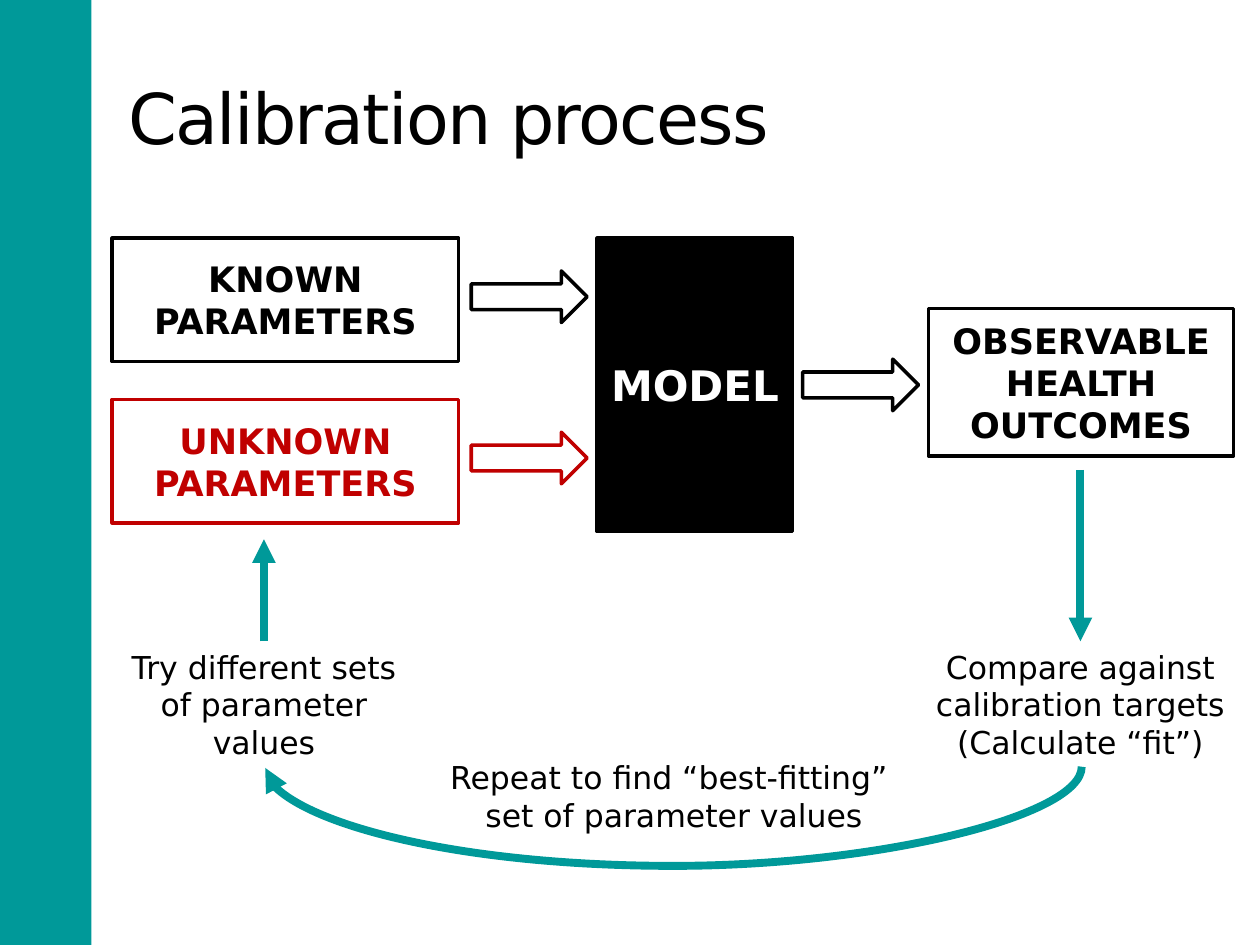
from dataclasses import dataclass

from lxml import etree
from pptx import Presentation, util as u
from pptx.dml.color import RGBColor
from pptx.enum import shapes, text
from pptx.oxml import ns


@dataclass(frozen=True)
class Theme:
    font: str = "DejaVu Sans"
    ink: str = "000000"
    paper: str = "FFFFFF"
    accent: str = "009999"
    alert: str = "C00000"
    title_size: int = 40
    model_size: int = 24
    box_size: int = 20
    note_size: int = 18
    outline: float = 2
    flow: float = 4.5


class SlideBuilder:
    COLUMNS, ROWS = 100, 75

    def __init__(self, deck, theme):
        self.theme = theme
        self.cell_width = deck.slide_width / self.COLUMNS
        self.cell_height = deck.slide_height / self.ROWS
        self.page = deck.slides.add_slide(deck.slide_layouts[5])

    def place(self, column, row, columns, rows):
        return (round(column * self.cell_width), round(row * self.cell_height),
                round(columns * self.cell_width), round(rows * self.cell_height))

    def add_lines(self, frame, lines, size, color, bold=False,
                  align=text.PP_ALIGN.CENTER, anchor=text.MSO_ANCHOR.MIDDLE):
        frame.word_wrap = True
        frame.vertical_anchor = anchor
        for index, line in enumerate(lines):
            para = frame.add_paragraph() if index else frame.paragraphs[0]
            para.alignment = align
            span = para.add_run()
            span.text = line
            span.font.name = self.theme.font
            span.font.size = u.Pt(size)
            span.font.bold = bold
            span.font.color.rgb = RGBColor.from_string(color)

    def title(self, area, words):
        box = self.page.shapes.title
        box.left, box.top, box.width, box.height = self.place(*area)
        self.add_lines(box.text_frame, [words], self.theme.title_size,
                       self.theme.ink, align=text.PP_ALIGN.LEFT)
        span = box.text_frame.paragraphs[0].runs[0]
        span.font._element.set("spc", "-100")

    def shape(self, kind, area, fill, line):
        box = self.page.shapes.add_shape(kind, *self.place(*area))
        box.shadow.inherit = False
        box.fill.solid()
        box.fill.fore_color.rgb = RGBColor.from_string(fill)
        box.line.color.rgb = RGBColor.from_string(line)
        box.line.width = u.Pt(self.theme.outline)
        return box

    def band(self, area):
        box = self.shape(shapes.MSO_SHAPE.RECTANGLE, area,
                         self.theme.accent, self.theme.accent)
        box.line.fill.background()

    def box(self, area, words, size, color, fill, line):
        box = self.shape(shapes.MSO_SHAPE.RECTANGLE, area, fill, line)
        self.add_lines(box.text_frame, [words], size, color, bold=True)

    def block_arrow(self, column, row, color):
        self.shape(shapes.MSO_SHAPE.RIGHT_ARROW, (column, row, 9.2, 4.1),
                   self.theme.paper, color)

    def note(self, area, lines):
        box = self.page.shapes.add_textbox(*self.place(*area))
        self.add_lines(box.text_frame, lines, self.theme.note_size,
                       self.theme.ink, anchor=text.MSO_ANCHOR.TOP)
        box.text_frame.auto_size = text.MSO_AUTO_SIZE.SHAPE_TO_FIT_TEXT
        return box

    def flow(self, kind, column, start, end_column, end):
        begin = self.place(column, start, 0, 0)[:2]
        finish = self.place(end_column, end, 0, 0)[:2]
        link = self.page.shapes.add_connector(kind, *begin, *finish)
        link.line.color.rgb = RGBColor.from_string(self.theme.accent)
        link.line.width = u.Pt(self.theme.flow)
        properties = link._element.spPr
        outline = properties.find(ns.qn("a:ln"))
        etree.SubElement(outline, ns.qn("a:tailEnd"), type="triangle")
        etree.SubElement(properties, ns.qn("a:effectLst"))
        return link

    def straight(self, column, start, end):
        return self.flow(shapes.MSO_CONNECTOR.STRAIGHT,
                         column, start, column, end)

    def return_curve(self, area, bend):
        column, row, columns, rows = area
        link = self.flow(shapes.MSO_CONNECTOR.CURVE, column, row,
                         column + columns, row + rows)
        properties = link._element.spPr
        properties.find(ns.qn("a:xfrm")).set("rot", str(90 * 60000))
        geometry = properties.find(ns.qn("a:prstGeom"))
        guides = geometry.find(ns.qn("a:avLst"))
        if guides is None:
            guides = etree.SubElement(geometry, ns.qn("a:avLst"))
        ratio = round(bend / columns * 100000)
        etree.SubElement(guides, ns.qn("a:gd"), name="adj1",
                         fmla=f"val {ratio}")


def main():
    deck = Presentation()
    deck.slide_width, deck.slide_height = u.Inches(10), u.Inches(7.5)
    theme = Theme()
    slide = SlideBuilder(deck, theme)

    slide.band((0, 0, 7.25, 75))
    slide.title((9.2, 3, 83.3, 12.5), "Calibration process")

    slide.box((47.4, 18.9, 15.5, 23.3), "MODEL", theme.model_size,
              theme.paper, theme.ink, theme.ink)
    slide.box((73.7, 24.5, 24.2, 11.7), "OBSERVABLE HEALTH OUTCOMES",
              theme.box_size, theme.ink, theme.paper, theme.ink)
    inputs = [("KNOWN PARAMETERS", theme.ink),
              ("UNKNOWN PARAMETERS", theme.alert)]
    for index, (words, color) in enumerate(inputs):
        offset = index * 12.8
        slide.box((8.9, 18.9 + offset, 27.5, 9.8), words, theme.box_size,
                  color, theme.paper, color)
        slide.block_arrow(37.4, 21.5 + offset, color)
    slide.block_arrow(63.7, 28.5, theme.ink)

    compare = slide.note((72.4, 50.9, 26.7, 10.1),
                         ["Compare against calibration targets",
                          "(Calculate “fit”)"])
    attempt = slide.note((8.9, 50.9, 24.1, 10.1),
                         ["Try different sets of parameter values"])
    slide.note((34.5, 59.7, 38, 7.1),
               ["Repeat to find “best-fitting” ", "set of parameter values"])

    slide.straight(85.75, 37.3, 50.9).end_connect(compare, 0)
    slide.straight(20.95, 50.9, 42.8).begin_connect(attempt, 0)
    slide.return_curve((53.4, 28.5, 0.1, 64.8), bend=8)

    deck.save("out.pptx")


if __name__ == "__main__":
    main()
